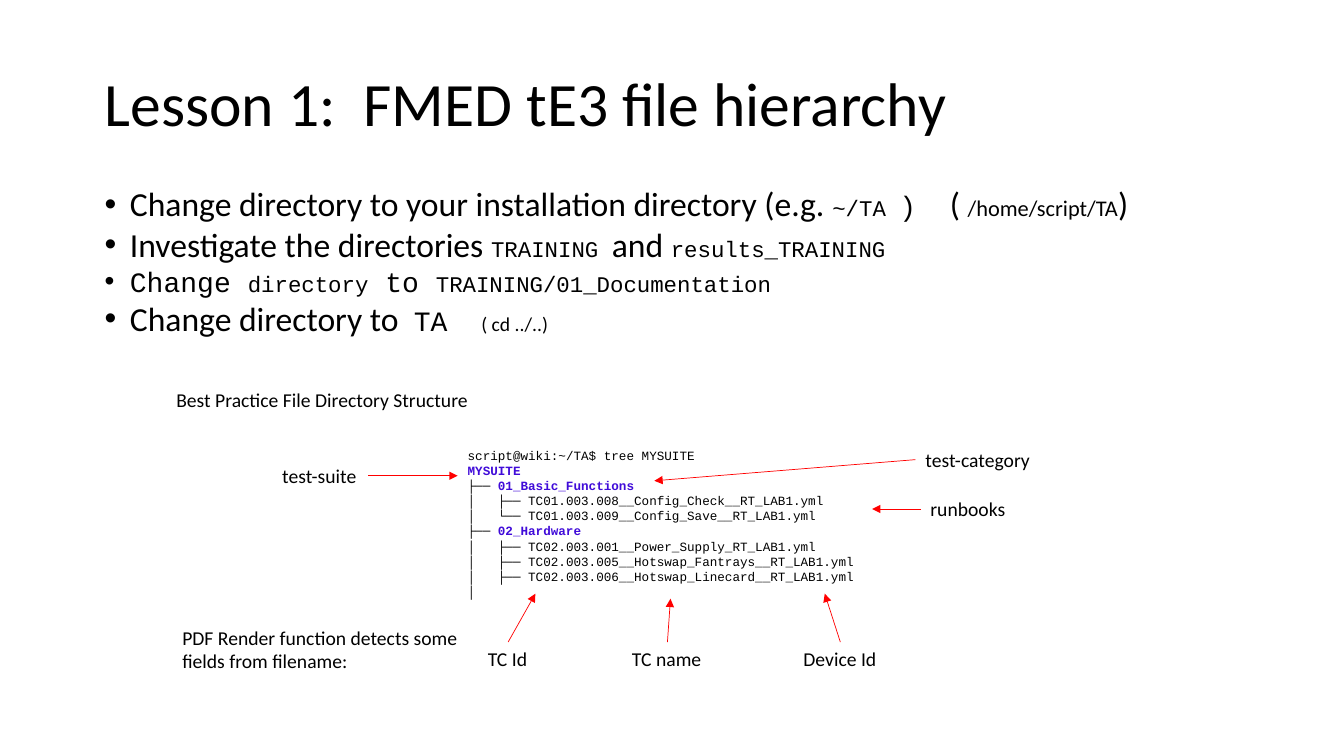
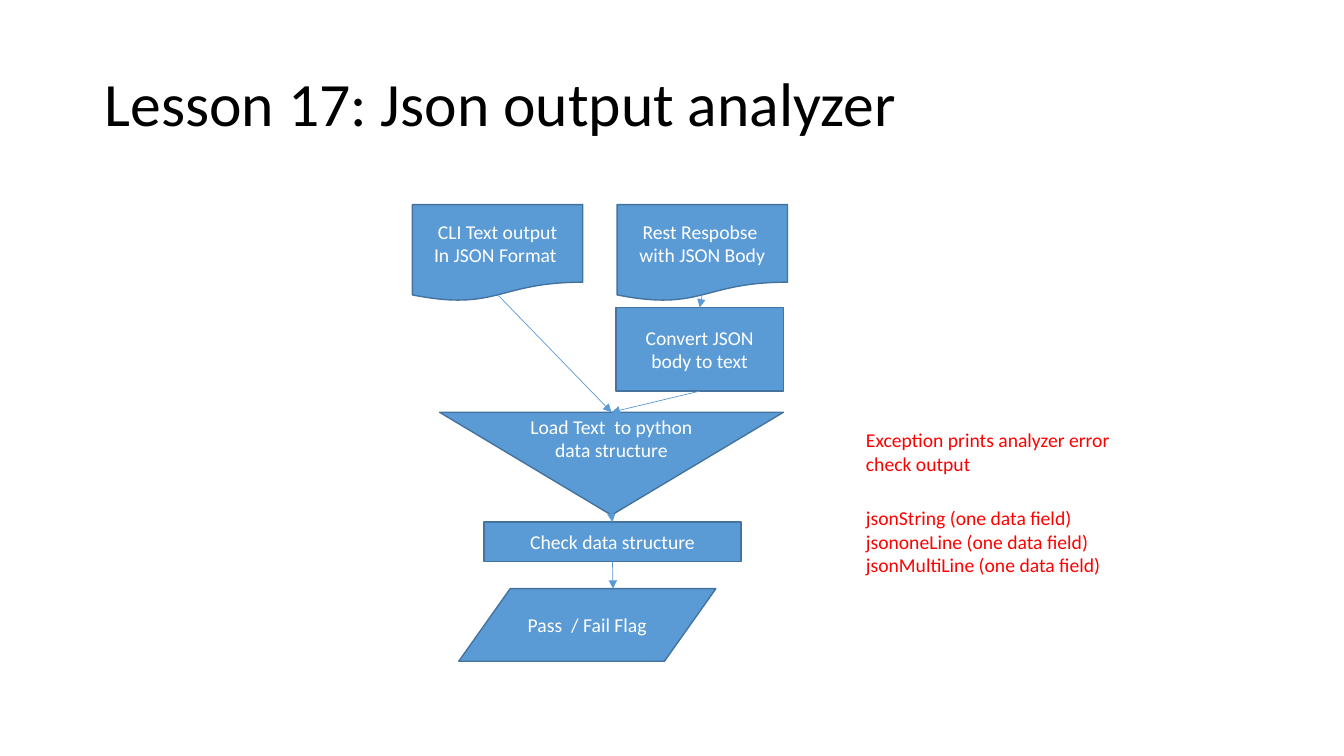
from dataclasses import dataclass

from lxml.etree import SubElement
from pptx import Presentation
from pptx.dml.color import RGBColor
from pptx.enum.shapes import MSO_CONNECTOR, MSO_SHAPE as Shape
from pptx.enum.text import MSO_ANCHOR as Anchor, MSO_AUTO_SIZE as AutoSize, PP_ALIGN as Align
from pptx.oxml.ns import qn
from pptx.util import Inches, Pt


@dataclass(frozen=True)
class Theme:
    ink: str = "000000"
    white: str = "FFFFFF"
    red: str = "FF0000"
    folder: str = "400BD9"
    box: str = "5B9BD5"
    box_line: str = "43739E"
    sans: str = "Calibri"
    mono: str = "Courier New"
    title_size: int = 44
    body_size: int = 24
    label_size: int = 14
    tree_size: int = 9


THEME = Theme()
TOP, LEFT, BOTTOM, RIGHT = range(4)

# Lesson 1 content: runs are (text, size, font)
SANS, MONO = THEME.sans, THEME.mono
HIERARCHY_TITLE = "Lesson 1:  FMED tE3 file hierarchy"
STEPS = [
    [("Change directory to your installation directory (e.g. ", 24, SANS), ("~/TA ", 16, MONO),
     (")  ", 20, MONO), ("( ", 24, SANS), ("/home/script/TA", 16, SANS), (")", 24, SANS)],
    [("Investigate the directories ", 24, SANS), ("TRAINING ", 16, MONO),
     ("and ", 24, SANS), ("results_TRAINING", 16, MONO)],
    [("Change ", 20, MONO), ("directory", 16, MONO), (" to ", 20, MONO),
     ("TRAINING/01_Documentation", 16, MONO)],
    [("Change directory to  ", 24, SANS), ("TA  ", 20, MONO), ("( cd ../..)", 14, SANS)],
]
# Tree lines are (branch, folder name)
TREE = [
    ("script@wiki:~/TA$ tree MYSUITE", ""),
    ("", "MYSUITE"),
    ("├── ", "01_Basic_Functions"),
    ("│   ├── TC01.003.008__Config_Check__RT_LAB1.yml", ""),
    ("│   └── TC01.003.009__Config_Save__RT_LAB1.yml", ""),
    ("├── ", "02_Hardware"),
    ("│   ├── TC02.003.001__Power_Supply_RT_LAB1.yml", ""),
    ("│   ├── TC02.003.005__Hotswap_Fantrays__RT_LAB1.yml", ""),
    ("│   ├── TC02.003.006__Hotswap_Linecard__RT_LAB1.yml", ""),
    ("│", ""),
]
# Callouts are (text, left, top, width, side the arrow leaves, arrow tip)
CALLOUTS = [
    ("test-suite", 2.7, 4.55, 0.95, RIGHT, (4.54, 4.72)),
    ("test-category", 9.08, 4.39, 1.25, LEFT, (6.49, 4.77)),
    ("runbooks", 9.13, 4.88, 1, LEFT, (8.65, 5.05)),
    ("TC Id", 4.74, 6.37, 0.6, TOP, (5.31, 5.89)),
    ("TC name", 6.17, 6.37, 0.9, TOP, (6.65, 5.94)),
    ("Device Id", 7.87, 6.37, 0.93, TOP, (8.18, 5.89)),
]
CAPTIONS = [
    (["Best Practice File Directory Structure"], (1.65, 3.8, 3.12, 0.34)),
    (["PDF Render function detects some", "fields from filename:"], (1.71, 6.16, 3, 0.57)),
]

# Lesson 17 content
ANALYZER_TITLE = "Lesson 17: Json output analyzer"
STAGES = {
    "cli": (Shape.FLOWCHART_DOCUMENT, "CLI Text output\nIn JSON Format ", (4.09, 2.03, 1.69, 0.96)),
    "rest": (Shape.FLOWCHART_DOCUMENT, "Rest Respobse  with JSON Body", (6.12, 2.03, 1.69, 0.96)),
    "convert": (Shape.FLOWCHART_PROCESS, "Convert JSON body to text", (6.11, 3.05, 1.66, 0.83)),
    "load": (Shape.FLOWCHART_MERGE, "Load Text  to python data structure", (4.36, 4.09, 3.41, 1.02)),
    "check": (Shape.FLOWCHART_PROCESS, "Check data structure", (4.8, 5.18, 2.55, 0.39)),
    "flag": (Shape.FLOWCHART_DATA, "Pass  / Fail Flag", (4.55, 5.84, 2.55, 0.72)),
}
FLOW = [("cli", "load"), ("rest", "convert"), ("convert", "load"), ("load", "check"), ("check", "flag")]
# Edge points, as fractions of the box, of outlines that miss the middle of a side
DOCUMENT_EXIT = (0.5, 0.93)
DATA_ENTRY = (0.6, 0)
NOTES = [
    (["Exception prints analyzer error", "check output"], (8.49, 4.2, 2.69, 0.57)),
    (["jsonString (one data field)", "jsononeLine (one data field)",
      "jsonMultiLine (one data field)"], (8.49, 4.97, 2.56, 0.81)),
]


# Shared helpers
def style(font, size, color=THEME.ink, name=THEME.sans, bold=False):
    font.size, font.name, font.bold = Pt(size), name, bold
    font.color.rgb = RGBColor.from_string(color)


def add_run(paragraph, text, *args, **kwargs):
    run = paragraph.add_run()
    run.text = text
    style(run.font, *args, **kwargs)


def add_box(slide, place, wrap=True):
    box = slide.shapes.add_textbox(*map(Inches, place))
    box.text_frame.word_wrap = wrap
    return box


def paragraphs(frame, count):
    return [frame.paragraphs[0]] + [frame.add_paragraph() for _ in range(count - 1)]


def add_label(slide, lines, place, color=THEME.ink):
    label = add_box(slide, place, wrap=False)
    label.text_frame.auto_size = AutoSize.SHAPE_TO_FIT_TEXT
    for paragraph, line in zip(paragraphs(label.text_frame, len(lines)), lines):
        add_run(paragraph, line, THEME.label_size, color)
    return label


def add_arrow(slide, start, tip, color):
    arrow = slide.shapes.add_connector(MSO_CONNECTOR.STRAIGHT, *start, *tip)
    arrow.line.color.rgb = RGBColor.from_string(color)
    arrow.line.width = Pt(0.5)
    SubElement(arrow.get_or_add_ln(), qn("a:tailEnd"), type="triangle")
    SubElement(arrow._element.spPr, qn("a:effectLst"))
    return arrow


def add_titled_slide(deck, title):
    slide = deck.slides.add_slide(deck.slide_layouts[6])
    frame = add_box(slide, (0.94, 0.33, 11.5, 1.45)).text_frame
    frame.vertical_anchor = Anchor.MIDDLE
    frame.paragraphs[0].line_spacing = 0.9
    add_run(frame.paragraphs[0], title, THEME.title_size)
    return slide


def edge_point(box, across, down):
    return int(box.left + box.width * across), int(box.top + box.height * down)


# Lesson 1: steps, annotated directory tree
def build_hierarchy(deck):
    slide = add_titled_slide(deck, HIERARCHY_TITLE)

    steps = add_box(slide, (0.94, 1.77, 12.01, 1.48)).text_frame
    for paragraph, runs in zip(paragraphs(steps, len(STEPS)), STEPS):
        properties = paragraph._p.get_or_add_pPr()
        properties.set("marL", str(Inches(0.25)))
        properties.set("indent", str(-Inches(0.25)))
        SubElement(properties, qn("a:buFont"), typeface="Arial")
        SubElement(properties, qn("a:buChar"), char="•")
        for text, size, name in runs:
            add_run(paragraph, text, size, name=name)

    tree = add_box(slide, (4.54, 4.39, 6.67, 1.62)).text_frame
    for paragraph, (branch, folder) in zip(paragraphs(tree, len(TREE)), TREE):
        if branch:
            add_run(paragraph, branch, THEME.tree_size, name=MONO)
        if folder:
            add_run(paragraph, folder, THEME.tree_size, THEME.folder, MONO, bold=True)

    for text, left, top, width, side, tip in CALLOUTS:
        label = add_label(slide, [text], (left, top, width, 0.34))
        arrow = add_arrow(slide, (label.left, label.top), map(Inches, tip), THEME.red)
        arrow.begin_connect(label, side)
    for lines, place in CAPTIONS:
        add_label(slide, lines, place)


# Lesson 17: flowchart with notes
def add_stage(slide, outline, text, place):
    stage = slide.shapes.add_shape(outline, *map(Inches, place))
    stage.shadow.inherit = False
    stage.fill.solid()
    stage.fill.fore_color.rgb = RGBColor.from_string(THEME.box)
    stage.line.color.rgb = RGBColor.from_string(THEME.box_line)
    stage.line.width = Pt(1)
    frame = stage.text_frame
    frame.word_wrap = True
    frame.vertical_anchor = Anchor.MIDDLE
    if outline == Shape.FLOWCHART_MERGE:
        frame.margin_left = frame.margin_right = 0
    frame.text = text
    for paragraph in frame.paragraphs:
        paragraph.alignment = Align.CENTER
        for run in paragraph.runs:
            style(run.font, THEME.label_size, THEME.white)
    return stage


def build_analyzer(deck):
    slide = add_titled_slide(deck, ANALYZER_TITLE)
    stages = {key: add_stage(slide, *stage) for key, stage in STAGES.items()}
    for source, target in FLOW:
        before, after = stages[source], stages[target]
        from_document = STAGES[source][0] == Shape.FLOWCHART_DOCUMENT
        to_data = STAGES[target][0] == Shape.FLOWCHART_DATA
        start = edge_point(before, *(DOCUMENT_EXIT if from_document else (0.5, 1)))
        tip = edge_point(after, *(DATA_ENTRY if to_data else (0.5, 0)))
        arrow = add_arrow(slide, start, tip, THEME.box)
        if not from_document:
            arrow.begin_connect(before, BOTTOM)
        if not to_data:
            arrow.end_connect(after, TOP)
    for lines, place in NOTES:
        add_label(slide, lines, place, THEME.red)


def main():
    deck = Presentation()
    deck.slide_width, deck.slide_height = Inches(13.33), Inches(7.5)
    build_hierarchy(deck)
    build_analyzer(deck)
    deck.save("out.pptx")


if __name__ == "__main__":
    main()
